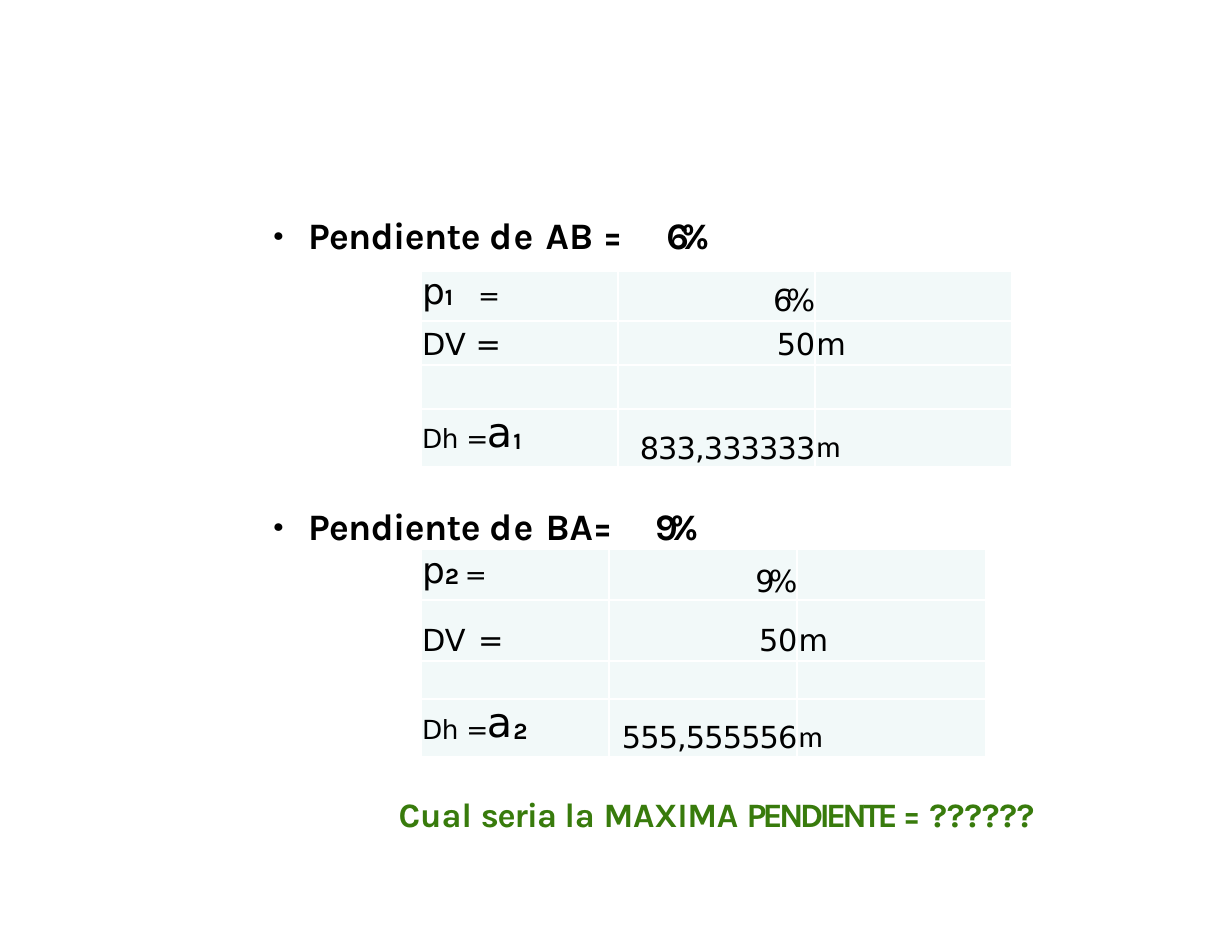
from dataclasses import dataclass
from typing import Optional

from lxml import etree
from pptx import Presentation
from pptx.dml.color import RGBColor
from pptx.enum import text
from pptx.oxml import ns
from pptx.util import Inches, Pt


@dataclass(frozen=True)
class Theme:
    ink: str = "000000"
    question: str = "387B0C"
    cell: str = "F2F9F9"
    border: str = "FFFFFF"
    display: str = "Karla"
    body: str = "DejaVu Sans"
    unit: str = "Calibri"
    heading_size: float = 24
    question_size: float = 22
    value_size: float = 19.5
    symbol_size: float = 29.2
    slope_size: float = 39.8
    distance_size: float = 45.8
    index_size: float = 15
    border_width: float = 1.5


THEME = Theme()


@dataclass(frozen=True)
class Run:
    words: str
    spacing: float = 0
    size: float = THEME.value_size
    font: str = THEME.body
    bold: bool = False
    raised: int = 0  # percent above the baseline
    color: str = THEME.ink


@dataclass(frozen=True)
class Line:
    runs: tuple
    top: float = 0
    leading: Optional[float] = None
    margin: float = 0.01
    hanging: float = 0
    tabs: tuple = ()
    bullet: str = ""
    right: bool = False


@dataclass(frozen=True)
class Grid:
    left: float
    top: float
    column: float
    rows: tuple
    cells: tuple


def add_child(parent, tag: str, **attributes):
    child = etree.SubElement(parent, ns.qn(tag))
    for key, value in attributes.items():
        child.set(key, str(value))
    return child


def write_line(frame, line: Line) -> None:
    paragraph = frame.paragraphs[0]
    props = paragraph._p.get_or_add_pPr()
    if line.right:
        paragraph.alignment = text.PP_ALIGN.RIGHT
    else:
        props.set("marL", str(Inches(line.margin)))
        props.set("indent", str(Inches(line.hanging)))
    if line.bullet:
        add_child(props, "a:buFont", typeface=THEME.display)
        add_child(props, "a:buChar", char=line.bullet)
    if line.tabs:
        stops = add_child(props, "a:tabLst")
        for stop in line.tabs:
            add_child(stops, "a:tab", pos=Inches(stop), algn="l")
    if line.leading:
        paragraph.line_spacing = Pt(line.leading)
    for item in line.runs:
        run = paragraph.add_run()
        run.text = item.words
        run.font.size = Pt(item.size)
        run.font.name = item.font
        run.font.bold = item.bold
        run.font.color.rgb = RGBColor.from_string(item.color)
        run.font._element.set("spc", str(round(item.spacing * 100)))
        if item.raised:
            run.font._element.set("baseline", str(item.raised * 1000))


def draw_text(slide, left: float, top: float, width: float, height: float, line: Line) -> None:
    frame = slide.shapes.add_textbox(*map(Inches, (left, top, width, height))).text_frame
    frame.word_wrap = True
    frame.auto_size = text.MSO_AUTO_SIZE.SHAPE_TO_FIT_TEXT
    frame.margin_left = frame.margin_right = frame.margin_bottom = 0
    frame.margin_top = Inches(line.top)
    write_line(frame, line)


def style_cell(cell, line: Optional[Line]) -> None:
    cell.margin_left = cell.margin_right = cell.margin_bottom = 0
    cell.margin_top = Inches(line.top if line else 0)
    props = cell._tc.get_or_add_tcPr()
    for side in ("a:lnL", "a:lnR", "a:lnT", "a:lnB"):
        edge = add_child(props, side, w=Pt(THEME.border_width))
        add_child(add_child(edge, "a:solidFill"), "a:srgbClr", val=THEME.border)
    cell.fill.solid()
    cell.fill.fore_color.rgb = RGBColor.from_string(THEME.cell)
    if line:
        write_line(cell.text_frame, line)


def draw_grid(slide, grid: Grid) -> None:
    columns = len(grid.cells[0])
    table = slide.shapes.add_table(
        len(grid.rows), columns, Inches(grid.left), Inches(grid.top),
        Inches(grid.column * columns), Inches(sum(grid.rows))).table
    table.first_row = table.horz_banding = False
    for column in table.columns:
        column.width = Inches(grid.column)
    for row, height, lines in zip(table.rows, grid.rows, grid.cells):
        row.height = Inches(height)
        for cell, line in zip(row.cells, lines):
            style_cell(cell, line)


def heading(*parts: tuple, stop: float) -> Line:
    runs = tuple(Run(words, spacing, THEME.heading_size, THEME.display, True)
                 for words, spacing in parts)
    return Line(runs, 0.02, margin=0.32, hanging=-0.31, tabs=(0.32, stop), bullet="•")


def index(words: str, spacing: float) -> Run:
    return Run(words, spacing, THEME.index_size, THEME.display, True)


def symbol(words: str, spacing: float) -> Run:
    return Run(words, spacing, THEME.symbol_size, raised=1)


def slope(mark: str, top: float, leading: float, spacing: float, tabs: tuple = ()) -> Line:
    runs = (Run("p", spacing, THEME.slope_size, raised=2), index(mark, spacing / 2), symbol("=", -7))
    return Line(runs, top, leading, tabs=tabs)


def distance(mark: str, leading: float) -> Line:
    runs = (symbol("Dh ", -0.4), symbol("= ", -6.3),
            Run("a", 0.8, THEME.distance_size, raised=3), index(mark, 0.6))
    return Line(runs, 0.03, leading)


def value(words: str, spacing: float, top: float, leading: Optional[float] = None) -> Line:
    return Line((Run(words, spacing),), top, leading, right=True)


def unit(top: float, leading: Optional[float] = None, font: str = THEME.body) -> Line:
    return Line((Run("m", -0.5, font=font),), top, leading)


EMPTY_ROW = (None, None, None)
TIGHT = 23.3

SLOPE_AB = Grid(3.76, 2.42, 1.76, (0.45, 0.39, 0.39, 0.52), (
    (slope("1\t", 0.02, 30.3, -0.4, (0.53,)), value("6%", -3.9, 0.11), None),
    (Line((Run("DV "), Run("=", -4.7)), 0.05), value("50", -0.2, 0.05), unit(0.05)),
    EMPTY_ROW,
    (distance("1", 34.6), value("833,333333", -0.6, 0.19, TIGHT), unit(0.18, font=THEME.unit)),
))
SLOPE_BA = Grid(3.76, 4.9, 1.68, (0.46, 0.54, 0.34, 0.52), (
    (slope("2 ", 0.03, 30.2, 0), value("9%", -3.9, 0.13, TIGHT), None),
    (Line((Run("DV\t", -0.2), Run("=", -4.7)), 0.2, TIGHT, tabs=(0.56,)),
     value("50", -0.2, 0.2, TIGHT), unit(0.2, TIGHT)),
    EMPTY_ROW,
    (distance("2", 34.8), value("555,555556", -0.6, 0.19), unit(0.18, font=THEME.unit)),
))
QUESTION = (("Cual ", 0), ("seria ", -0.7), ("la ", 0), ("MAXIMA ", -0.2),
            ("PENDIENTE ", -2.4), ("=", -4.9), (" ??????", -0.1))


def main() -> None:
    deck = Presentation()
    deck.slide_width, deck.slide_height = Inches(11), Inches(8.5)
    slide = deck.slides.add_slide(deck.slide_layouts[6])

    # Slope headings
    draw_text(slide, 2.43, 1.87, 4.01, 0.43, heading(
        ("Pendiente ", -0.4), ("de ", 0.9), ("AB ", 0), ("=\t", -5.7), ("6%", -5.2), stop=3.52))
    draw_text(slide, 2.43, 4.47, 3.92, 0.43, heading(
        ("Pendiente ", -0.4), ("de ", 0.9), ("BA=\t", -0.2), ("9%", -5.2), stop=3.42))

    # Closing question
    draw_text(slide, 3.55, 7.07, 6.24, 0.39, Line(tuple(
        Run(words, spacing, THEME.question_size, THEME.display, True, color=THEME.question)
        for words, spacing in QUESTION), 0.01))

    # Calculation tables
    for grid in (SLOPE_AB, SLOPE_BA):
        draw_grid(slide, grid)

    deck.save("out.pptx")


if __name__ == "__main__":
    main()
